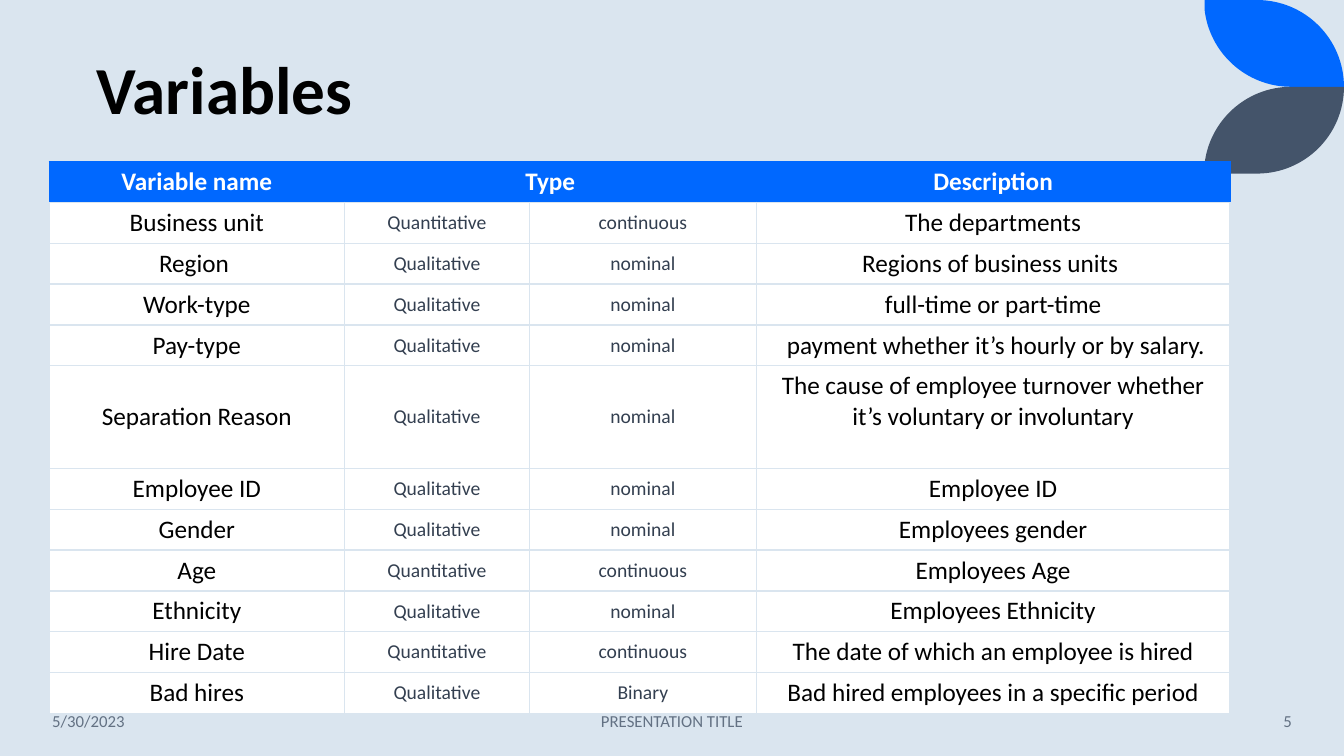
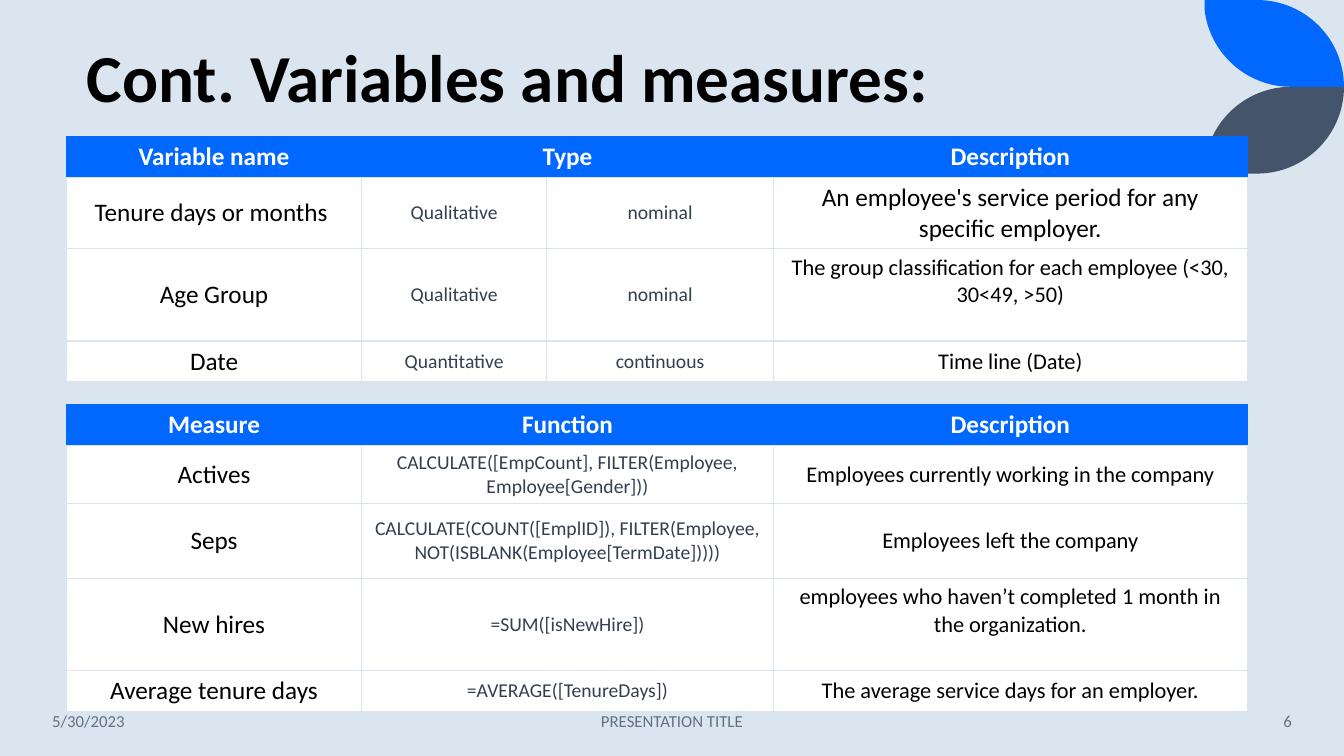
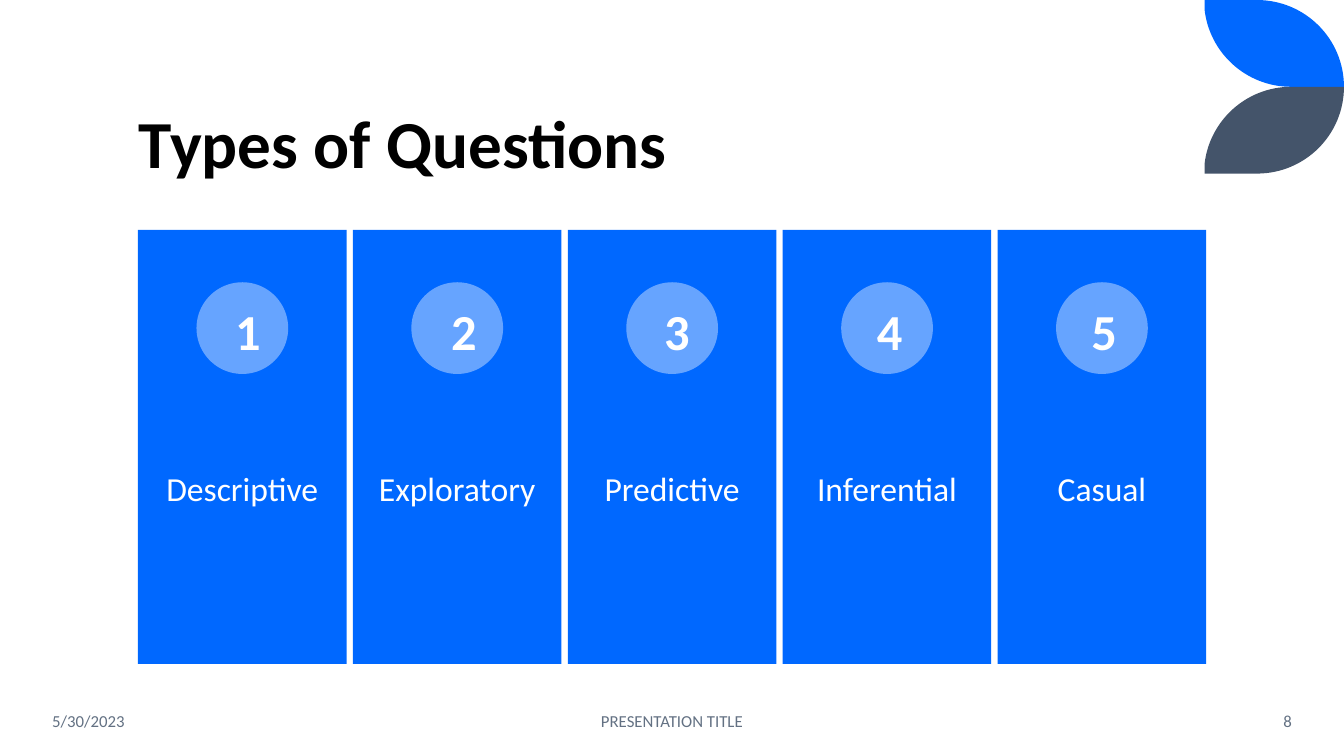
from dataclasses import dataclass

from lxml import etree
from pptx import Presentation
from pptx.dml.color import RGBColor
from pptx.enum.shapes import MSO_SHAPE
from pptx.enum.text import MSO_ANCHOR, PP_ALIGN
from pptx.oxml.ns import qn
from pptx.util import Pt

LEFT, CENTER, RIGHT = PP_ALIGN.LEFT, PP_ALIGN.CENTER, PP_ALIGN.RIGHT
TOP, MIDDLE, BOTTOM = MSO_ANCHOR.TOP, MSO_ANCHOR.MIDDLE, MSO_ANCHOR.BOTTOM
RECTANGLE, OVAL = MSO_SHAPE.RECTANGLE, MSO_SHAPE.OVAL


@dataclass(frozen=True)
class Theme:
    font: str = "Calibri"
    blue: str = "0068FF"
    light_blue: str = "66A4FF"
    slate: str = "44546A"
    pale: str = "DAE5EF"
    white: str = "FFFFFF"
    black: str = "000000"
    detail: str = "333F50"
    footer: str = "637183"
    title_size: float = 48
    number_size: float = 36
    label_size: float = 24
    cell_size: float = 18
    note_size: float = 16
    detail_size: float = 14
    footer_size: float = 12
    line_height: float = 1.22
    cell_pad: float = 3.6


THEME = Theme()


@dataclass(frozen=True)
class Box:
    left: float
    top: float
    width: float
    height: float

    def lengths(self) -> tuple:
        return tuple(Pt(v) for v in (self.left, self.top, self.width, self.height))


@dataclass(frozen=True)
class TextStyle:
    size: float
    color: str
    bold: bool = False
    align: PP_ALIGN = CENTER
    anchor: MSO_ANCHOR = MIDDLE
    spacing: float = 1.0
    inset: float | None = None


@dataclass(frozen=True)
class Row:
    cells: tuple
    height: float = 29.2
    description_size: float = THEME.cell_size
    spare_line: bool = False  # leave one line free under the description


@dataclass(frozen=True)
class Card:
    label: str
    number_left: float


TITLE = TextStyle(THEME.title_size, THEME.black, True, LEFT, BOTTOM, 0.9)
HEADER = TextStyle(THEME.cell_size, THEME.white, True)
DETAIL = TextStyle(THEME.detail_size, THEME.detail)
LABEL = TextStyle(THEME.label_size, THEME.white, spacing=0.9, inset=13.7)
NUMBER = TextStyle(THEME.number_size, THEME.white, True, anchor=TOP)

# Table content
VARIABLE_HEADER = Row(("Variable name", "Type", None, "Description"))
VARIABLE_COLUMNS = (210.8, 132.3, 161.9, 338.4)
MEASURE_COLUMNS = (210.8, 294.2, 338.4)
NOTE = THEME.note_size

VARIABLES = (
    VARIABLE_HEADER,
    Row(("Business unit", "Quantitative", "continuous", "The departments")),
    Row(("Region ", "Qualitative", "nominal", "Regions of business units ")),
    Row(("Work-type", "Qualitative", "nominal", "full-time or part-time")),
    Row(("Pay-type", "Qualitative", "nominal",
         " payment whether it’s hourly or by salary.")),
    Row(("Separation Reason", "Qualitative", "nominal",
         "The cause of employee turnover whether it’s voluntary or involuntary"),
        73.2, spare_line=True),
    Row(("Employee ID", "Qualitative", "nominal", "Employee ID")),
    Row(("Gender", "Qualitative", "nominal", "Employees gender")),
    Row(("Age", "Quantitative", "continuous", "Employees Age")),
    Row(("Ethnicity", "Qualitative", "nominal", "Employees Ethnicity")),
    Row(("Hire Date", "Quantitative", "continuous",
         "The date of which an employee is hired")),
    Row(("Bad hires", "Qualitative", "Binary",
         "Bad hired employees in a specific period")),
)
MORE_VARIABLES = (
    VARIABLE_HEADER,
    Row(("Tenure days or months ", "Qualitative", "nominal",
         "An employee's service period for any specific employer."), 51.2),
    Row(("Age Group", "Qualitative", "nominal",
         "The group classification for each employee (<30, 30<49, >50)"),
        65.8, NOTE, True),
    Row(("Date", "Quantitative", "continuous", "Time line (Date)"),
        description_size=NOTE),
)
MEASURES = (
    Row(("Measure", "Function", "Description")),
    Row(("Actives", "CALCULATE([EmpCount], FILTER(Employee, Employee[Gender]))",
         "Employees currently working in the company"), 41.4, NOTE),
    Row(("Seps",
         "CALCULATE(COUNT([EmplID]), FILTER(Employee, "
         "NOT(ISBLANK(Employee[TermDate]))))",
         "Employees left the company"), 53.4, NOTE),
    Row(("New hires", "=SUM([isNewHire])",
         "employees who haven’t completed 1 month in the organization."),
        65.8, NOTE, True),
    Row(("Average tenure days", "=AVERAGE([TenureDays])",
         "The average service days for an employer."), description_size=NOTE),
)
QUESTION_TYPES = (
    Card("Descriptive", 160.8),
    Card("Exploratory", 315.2),
    Card("Predictive", 467.2),
    Card("Inferential", 619.2),
    Card("Casual", 772.4),
)


def rgb(color: str) -> RGBColor:
    return RGBColor.from_string(color)


def write(frame, text: str, style: TextStyle) -> None:
    paragraph = frame.paragraphs[0]
    run = paragraph.add_run()
    run.text = text
    formats = {
        paragraph: {"alignment": style.align, "line_spacing": style.spacing},
        run.font: {"name": THEME.font, "size": Pt(style.size), "bold": style.bold},
    }
    for target, values in formats.items():
        for attribute, value in values.items():
            setattr(target, attribute, value)
    run.font.color.rgb = rgb(style.color)


def add_text(slide, box: Box, text: str, style: TextStyle) -> None:
    frame = slide.shapes.add_textbox(*box.lengths()).text_frame
    values = {"word_wrap": True, "vertical_anchor": style.anchor}
    if style.inset is not None:
        for side in ("left", "top", "right", "bottom"):
            values[f"margin_{side}"] = Pt(style.inset)
    for attribute, value in values.items():
        setattr(frame, attribute, value)
    write(frame, text, style)


def paint(shape, color: str) -> None:
    shape.shadow.inherit = False
    shape.fill.solid()
    shape.fill.fore_color.rgb = rgb(color)
    shape.line.fill.background()


# Corner leaves
def bend(shape, first_controls: tuple) -> None:
    """Turn each run of three line segments into one cubic curve."""
    segments = list(shape._element.iter(qn("a:lnTo")))
    for first in first_controls:
        bezier = etree.Element(qn("a:cubicBezTo"))
        segments[first].addprevious(bezier)
        for segment in segments[first:first + 3]:
            bezier.append(segment[0])
            segment.getparent().remove(segment)


def add_leaves(slide) -> None:
    upper = ((860.4, 0), (897.8, 0), (932.2, 0), (960, 27.7), (960, 62),
             (922.3, 62), (890, 62), (863.7, 37.5), (860.4, 6.5))
    lower = tuple((x, 124 - y) for x, y in upper)
    for outline, color in ((upper, THEME.blue), (lower, THEME.slate)):
        start, *rest = [(Pt(x), Pt(y)) for x, y in outline]
        builder = slide.shapes.build_freeform(*start)
        builder.add_line_segments(rest, close=True)
        leaf = builder.convert_to_shape()
        bend(leaf, (1, 5))
        paint(leaf, color)


# Tables
def set_borders(cell, colors: dict) -> None:
    properties = cell._tc.get_or_add_tcPr()
    for side, color in colors.items():
        line = etree.SubElement(properties, qn(f"a:ln{side}"), w=str(Pt(1)))
        fill = etree.SubElement(line, qn("a:solidFill"))
        etree.SubElement(fill, qn("a:srgbClr"), val=color)


def add_table(slide, left: float, top: float, columns: tuple, rows: tuple) -> None:
    box = Box(left, top, sum(columns), sum(row.height for row in rows))
    table = slide.shapes.add_table(len(rows), len(columns), *box.lengths()).table
    for column, width in zip(table.columns, columns):
        column.width = Pt(width)
    last = len(columns) - 1
    for r, row in enumerate(rows):
        table.rows[r].height = Pt(row.height)
        edge, fill = (THEME.pale, THEME.white) if r else (THEME.blue, THEME.blue)
        styles = {0: TextStyle(THEME.cell_size, THEME.black),
                  last: TextStyle(row.description_size, THEME.black)}
        for c, text in enumerate(row.cells):
            cell = table.cell(r, c)
            set_borders(cell, {"L": edge, "R": edge, "T": edge, "B": THEME.pale})
            cell.fill.solid()
            cell.fill.fore_color.rgb = rgb(fill)
            if text is None:
                table.cell(r, c - 1).merge(cell)
                continue
            cell.vertical_anchor = MIDDLE
            if row.spare_line and c == last:
                spare = row.description_size * THEME.line_height
                cell.margin_bottom = Pt(THEME.cell_pad + spare)
            write(cell.text_frame, text, styles.get(c, DETAIL) if r else HEADER)


# Numbered cards
def add_cards(slide) -> None:
    card_width, card_step, circle = 149, 153.5, 65.5
    for i, card in enumerate(QUESTION_TYPES):
        left = 98.6 + i * card_step
        circle_left = left + (card_width - circle) / 2
        for kind, box, color in (
            (RECTANGLE, Box(left, 164.2, card_width, 310), THEME.blue),
            (OVAL, Box(circle_left, 201.6, circle, circle), THEME.light_blue),
        ):
            paint(slide.shapes.add_shape(kind, *box.lengths()), color)
        add_text(slide, Box(left, 288.4, card_width, 124), card.label, LABEL)
        add_text(slide, Box(card.number_left, 211, 27.4, 51), str(i + 1), NUMBER)


# Shared slide parts
def start_slide(deck, background: str, title: str, title_box: Box, number: int):
    slide = deck.slides.add_slide(deck.slide_layouts[6])
    slide.background.fill.solid()
    slide.background.fill.fore_color.rgb = rgb(background)
    add_leaves(slide)
    add_text(slide, title_box, title, TITLE)
    for left, width, text, align in (
        (30.2, 134, "5/30/2023", LEFT),
        (318, 324, "PRESENTATION TITLE", CENTER),
        (799.2, 130.6, str(number), RIGHT),
    ):
        style = TextStyle(THEME.footer_size, THEME.footer, align=align)
        add_text(slide, Box(left, 500.6, width, 28.8), text, style)
    return slide


def main() -> None:
    deck = Presentation()
    deck.slide_width, deck.slide_height = Pt(960), Pt(540)

    variables = start_slide(deck, THEME.pale, "Variables", Box(62, 23.8, 770, 72), 5)
    add_table(variables, 35.2, 115.3, VARIABLE_COLUMNS, VARIABLES)

    measures = start_slide(deck, THEME.pale, "Cont. Variables and measures:",
                           Box(54.9, 10.4, 770, 77), 6)
    add_table(measures, 47.5, 97.4, VARIABLE_COLUMNS, MORE_VARIABLES)
    add_table(measures, 47.5, 289.2, MEASURE_COLUMNS, MEASURES)

    questions = start_slide(deck, THEME.white, "Types of Questions",
                            Box(92.2, 30.2, 770, 104.4), 8)
    add_cards(questions)

    deck.save("out.pptx")


if __name__ == "__main__":
    main()
